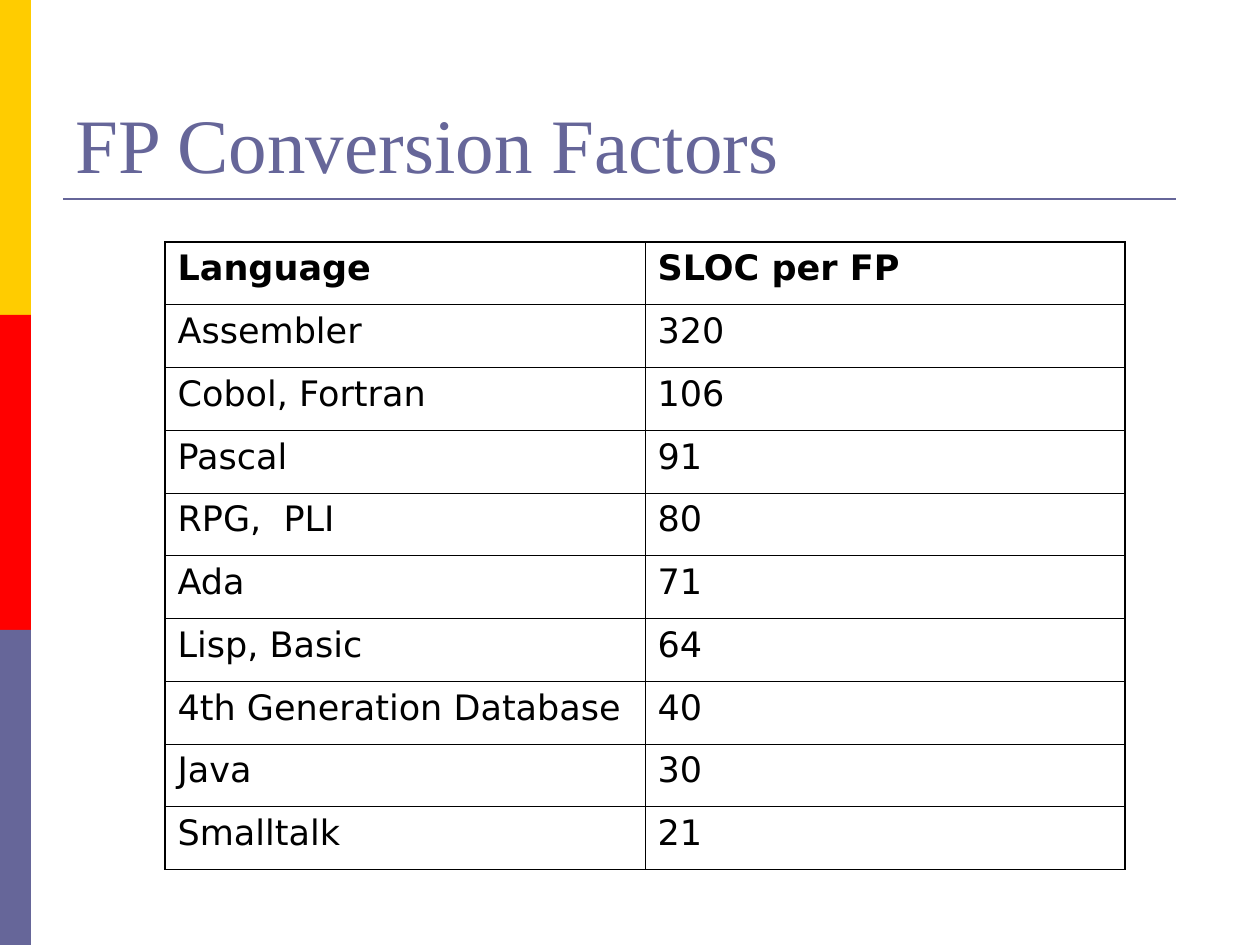
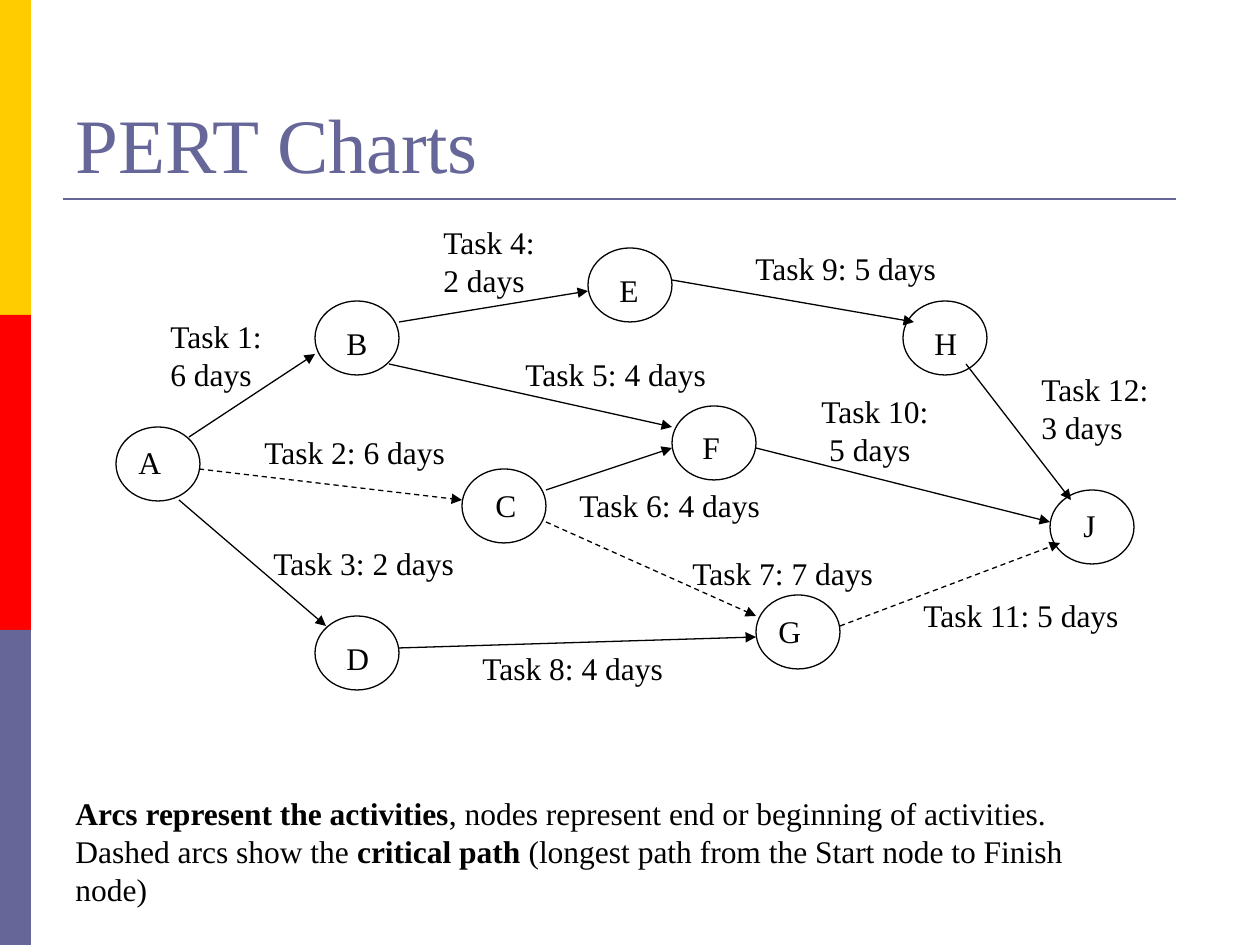
from lxml import etree
from pptx import Presentation
from pptx.dml.color import RGBColor
from pptx.enum.dml import MSO_LINE
from pptx.enum.shapes import MSO_CONNECTOR, MSO_SHAPE
from pptx.enum.text import MSO_ANCHOR, MSO_AUTO_SIZE, PP_ALIGN
from pptx.oxml import parse_xml
from pptx.oxml.ns import nsdecls, qn
from pptx.util import Pt

PX = 914400 / 126
BLACK = RGBColor(0x00, 0x00, 0x00)
GOLD = RGBColor(0xFF, 0xCC, 0x00)
RED = RGBColor(0xFF, 0x00, 0x00)
SLATE = RGBColor(0x66, 0x66, 0x99)
SERIF = "Times New Roman"
SANS = "DejaVu Sans"
RECT, OVAL = MSO_SHAPE.RECTANGLE, MSO_SHAPE.OVAL
STRAIGHT = MSO_CONNECTOR.STRAIGHT
DASH = MSO_LINE.DASH
LEFT = PP_ALIGN.LEFT
TOP, BOTTOM = MSO_ANCHOR.TOP, MSO_ANCHOR.BOTTOM
NO_FIT = MSO_AUTO_SIZE.NONE


def emu(*sizes):
    """Turn lengths in px into EMU."""
    return [round(size * PX) for size in sizes]


def write(para, text, face, size, color=BLACK, bold=False):
    run = para.add_run()
    run.text = text
    font = run.font
    font.name, font.size, font.bold = face, Pt(size), bold
    font.color.rgb = color


deck = Presentation()
deck.slide_width, deck.slide_height = emu(1260, 945)

# Shared frame: side bands, rule and title
slides = []
for heading in ("FP Conversion Factors", "PERT Charts"):
    slide = deck.slides.add_slide(deck.slide_layouts[5])
    slides.append(slide)
    for row, color in enumerate((GOLD, RED, SLATE)):
        band = slide.shapes.add_shape(RECT, *emu(0, row * 315, 31, 315))
        band.shadow.inherit = False
        band.fill.solid()
        band.fill.fore_color.rgb = color
        band.line.fill.background()
    rule = slide.shapes.add_connector(STRAIGHT, *emu(63, 199, 1176, 199))
    rule.line.color.rgb = SLATE
    rule.line.width = Pt(1.5)
    etree.SubElement(rule._element.spPr, qn("a:effectLst"))
    title = slide.shapes.title
    title.left, title.top, title.width, title.height = emu(63, 38, 1134, 157)
    frame = title.text_frame
    frame.auto_size = NO_FIT
    frame.vertical_anchor = BOTTOM
    para = frame.paragraphs[0]
    para.alignment = LEFT
    write(para, heading, SERIF, 44, SLATE)

factors, pert = slides

# Conversion table
ROWS = [
    ("Language", "SLOC per FP"),
    ("Assembler", "320"),
    ("Cobol, Fortran", "106"),
    ("Pascal", "91"),
    ("RPG,  PLI", "80"),
    ("Ada", "71"),
    ("Lisp, Basic", "64"),
    ("4th Generation Database", "40"),
    ("Java", "30"),
    ("Smalltalk", "21"),
]
last = len(ROWS) - 1
table = factors.shapes.add_table(len(ROWS), 2, *emu(165, 242, 960, 628)).table
table.first_row = table.horz_banding = False
for r, row in enumerate(ROWS):
    for c, text in enumerate(row):
        cell = table.cell(r, c)
        cell.vertical_anchor = TOP
        write(cell.text_frame.paragraphs[0], text, SANS, 20, bold=r == 0)
        outer = {"L": c == 0, "R": c == 1, "T": r == 0, "B": r == last}
        for side, edge in outer.items():
            width = Pt(1.08 if edge else 0.45)
            cell._tc.get_or_add_tcPr().append(parse_xml(
                f'<a:ln{side} {nsdecls("a")} w="{width}"><a:solidFill>'
                f'<a:srgbClr val="{BLACK}"/></a:solidFill></a:ln{side}>'))
        cell.fill.background()

# Nodes of the network: left, top
NODES = [(315, 301), (588, 248), (462, 469), (116, 427), (672, 406),
         (315, 616), (903, 301), (756, 595), (1050, 490)]
for x, y in NODES:
    node = pert.shapes.add_shape(OVAL, *emu(x, y, 84, 74))
    node.shadow.inherit = False
    node.fill.background()
    node.line.color.rgb = BLACK
    node.line.width = Pt(0.75)

# Arcs: start, end, on the critical path
ARCS = [
    (189, 437, 315, 354, False),
    (399, 322, 588, 291, False),
    (389, 364, 672, 427, False),
    (199, 469, 462, 500, True),
    (179, 500, 326, 626, False),
    (399, 648, 756, 637, False),
    (546, 522, 756, 616, True),
    (546, 490, 672, 448, False),
    (672, 280, 914, 322, False),
    (756, 448, 1050, 522, False),
    (966, 364, 1071, 500, False),
    (840, 626, 1060, 543, True),
]
for *ends, crit in ARCS:
    arc = pert.shapes.add_connector(STRAIGHT, *emu(*ends))
    arc.line.color.rgb = BLACK
    arc.line.width = Pt(0.75)
    if crit:
        arc.line.dash_style = DASH
    etree.SubElement(arc.line._get_or_add_ln(), qn("a:tailEnd"), type="triangle")
    etree.SubElement(arc._element.spPr, qn("a:effectLst"))

# Labels: left, top, width, text with bold parts between asterisks
LABELS = [
    (126, 437, 48, "A"),
    (334, 318, 45, "B"),
    (483, 480, 45, "C"),
    (607, 265, 44, "E"),
    (690, 422, 43, "F"),
    (922, 318, 48, "H"),
    (1071, 500, 37, "J"),
    (334, 633, 48, "D"),
    (766, 606, 48, "G"),
    (158, 311, 118, "Task 1:\n6 days"),
    (431, 217, 126, "Task 4:\n2 days"),
    (743, 243, 208, "Task 9: 5 days"),
    (1029, 364, 135, "Task 12:\n3 days"),
    (513, 349, 208, "Task 5: 4 days"),
    (809, 386, 135, "Task 10:\n 5 days"),
    (252, 427, 208, "Task 2: 6 days"),
    (567, 480, 208, "Task 6: 4 days"),
    (680, 548, 208, "Task 7: 7 days"),
    (911, 590, 223, "Task 11: 5 days"),
    (261, 538, 208, "Task 3: 2 days"),
    (470, 643, 208, "Task 8: 4 days"),
    (63, 788, 1092,
     "*Arcs represent the activities*, nodes represent end or beginning of "
     "activities.\nDashed arcs show the *critical path* (longest path from "
     "the Start node to Finish node)"),
]
for x, y, width, text in LABELS:
    lines = text.split("\n")
    height = 12 + 38 * len(lines)
    frame = pert.shapes.add_textbox(*emu(x, y, width, height)).text_frame
    frame.word_wrap = False
    for i, line in enumerate(lines):
        para = frame.add_paragraph() if i else frame.paragraphs[0]
        para.alignment = LEFT
        for j, part in enumerate(line.split("*")):
            if part:
                write(para, part, SERIF, 18, bold=j % 2 == 1)

deck.save("out.pptx")
